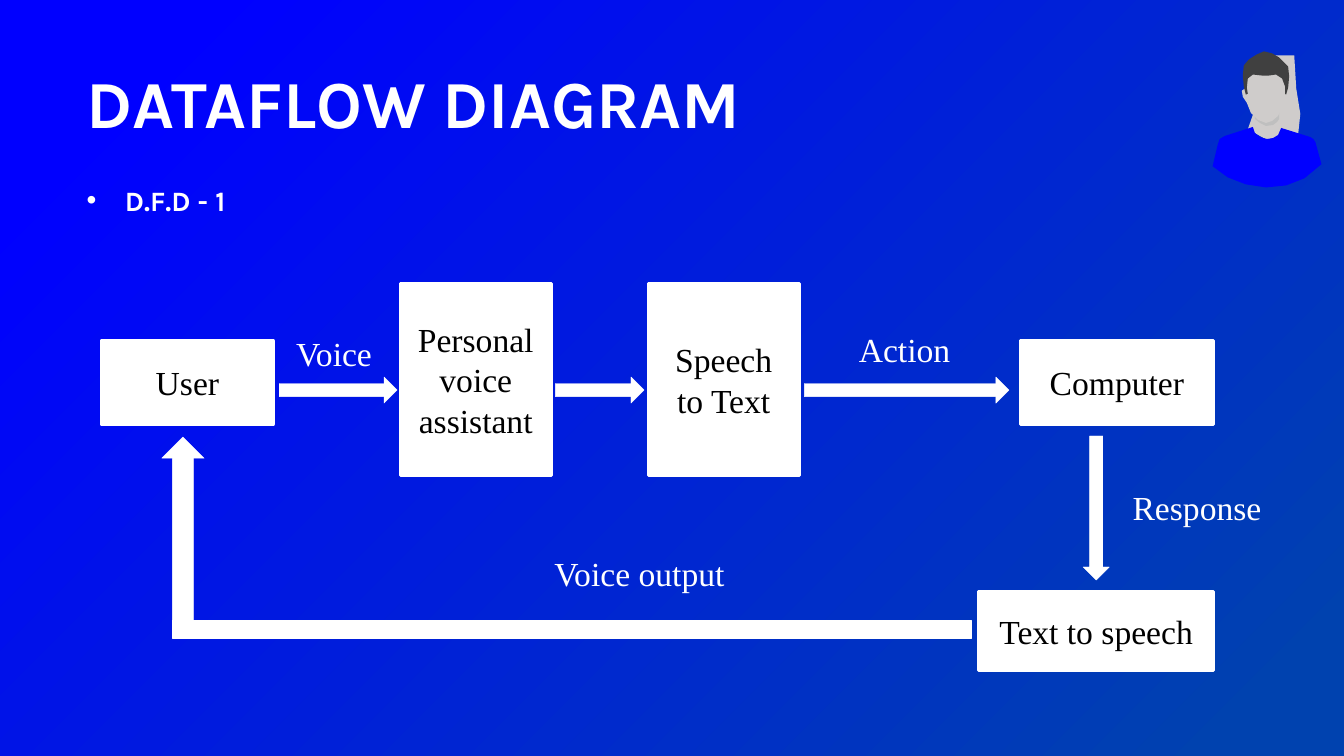
from lxml.etree import SubElement
from pptx import Presentation
from pptx.dml.color import RGBColor
from pptx.enum.shapes import MSO_SHAPE as Preset
from pptx.enum.text import MSO_ANCHOR as Anchor, MSO_AUTO_SIZE as AutoSize, PP_ALIGN as Align
from pptx.oxml.ns import qn
from pptx.util import Emu, Inches, Pt

WIDTH, HEIGHT = Emu(12192000), Emu(6858000)
COL, ROW = WIDTH / 40, HEIGHT / 30  # grid of 40 columns by 30 rows
WHITE, BLACK, BLUE, NAVY = "FFFFFF", "000000", "0000FF", "0042AF"
SKIN, CHIN, HAIR = "CFCCCB", "BFBFBF", "404040"
HEADING, BODY = "Karla", "Times New Roman"

# Each box: text, left, top, width, height, outline
BOXES = [
    ("User", 3.03, 13.52, 5.1, 3.32, 3),
    ("Personal voice assistant", 11.91, 11.24, 4.5, 7.64, 2.25),
    ("Speech to Text", 19.29, 11.24, 4.5, 7.64, 2.25),
    ("Computer", 30.36, 13.52, 5.76, 3.32, 2.25),
    ("Text to speech", 29.13, 23.48, 6.99, 3.12, 2.25),
]
# Each arrow: left, top, length, thickness, rotation
ARROWS = [
    (8.31, 14.96, 3.51, 1.04, 0),
    (16.53, 14.96, 2.64, 1.04, 0),
    (23.94, 14.96, 6.09, 1.04, 0),
    (30.48, 19.64, 4.29, 1.04, 90),
    (2.46, 20.48, 5.97, 1.68, 270),
]
# Each flow label: text, left, top, width
LABELS = [
    ("Voice output", 9.03, 21.76, 20),
    ("Voice", -0.06, 13, 20),
    ("Action", 16.92, 12.84, 20),
    ("Response", 32.61, 19.12, 6.03),
]
# Faceless figure, outlines in hundredths of an inch
FIGURE = [
    (SKIN, [(1248, 55), (1249, 75), (1247, 98), (1244, 111), (1238, 128),
            (1266, 144), (1288, 132), (1290, 113), (1286, 88), (1284, 55)]),
    (CHIN, [(1263, 124), (1267, 121), (1269, 118), (1269, 109), (1245, 109),
            (1245, 118), (1250, 122), (1256, 125)]),
    (SKIN, [(1278, 89), (1275, 90), (1275, 80), (1272, 69), (1262, 63), (1250, 62),
            (1240, 66), (1235, 77), (1235, 88), (1232, 90), (1233, 96), (1237, 102),
            (1241, 112), (1248, 119), (1256, 122), (1262, 120), (1268, 115),
            (1274, 102), (1278, 96), (1279, 92)]),
    (HAIR, [(1236, 94), (1238, 93), (1237, 87), (1238, 78), (1243, 74), (1252, 75),
            (1259, 75), (1266, 74), (1272, 78), (1275, 86), (1275, 93), (1276, 94),
            (1278, 87), (1279, 76), (1278, 66), (1269, 57), (1262, 53), (1254, 51),
            (1247, 54), (1239, 59), (1234, 65), (1233, 75), (1234, 86)]),
    (BLUE, [(1311, 163), (1305, 141), (1303, 138), (1300, 136), (1271, 127),
            (1268, 134), (1263, 137), (1257, 138), (1250, 136), (1245, 132),
            (1243, 126), (1215, 135), (1210, 138), (1208, 144), (1203, 165),
            (1218, 176), (1236, 183), (1256, 186), (1276, 184), (1294, 177)]),
]


def color(code):
    return RGBColor.from_string(code)


def place(left, top, width, height):
    return Emu(int(left * COL)), Emu(int(top * ROW)), Emu(int(width * COL)), Emu(int(height * ROW))


def write(frame, words, size, font, ink, align=None, bold=None):
    frame.word_wrap = True
    paragraph = frame.paragraphs[0]
    paragraph.alignment = align
    run = paragraph.add_run()
    run.text = words
    run.font.size, run.font.name, run.font.bold = Pt(size), font, bold
    run.font.color.rgb = color(ink)
    return paragraph


def add_text(slide, area, words, size, font, align=None, bold=None):
    frame = slide.shapes.add_textbox(*place(*area)).text_frame
    frame.auto_size = AutoSize.SHAPE_TO_FIT_TEXT
    return write(frame, words, size, font, WHITE, align, bold)


def add_white_shape(slide, preset, area, outline, rotation=0):
    shape = slide.shapes.add_shape(preset, *place(*area))
    shape.shadow.inherit = False
    shape.rotation = rotation
    shape.fill.solid()
    shape.fill.fore_color.rgb = shape.line.color.rgb = color(WHITE)
    shape.line.width = Pt(outline)
    return shape


def add_box(slide, words, *area, outline):
    frame = add_white_shape(slide, Preset.RECTANGLE, area, outline).text_frame
    frame.vertical_anchor = Anchor.MIDDLE
    write(frame, words, 24, BODY, BLACK, Align.CENTER)


def add_outline(slide, fill, points):
    builder = slide.shapes.build_freeform(*points[0], scale=Inches(0.01))
    builder.add_line_segments(points[1:], close=True)
    part = builder.convert_to_shape()
    part.shadow.inherit = False
    part.fill.solid()
    part.fill.fore_color.rgb = color(fill)
    part.line.fill.background()


def add_bullet(paragraph):
    props = paragraph._p.get_or_add_pPr()
    indent = Inches(0.38)
    props.set("marL", str(indent))
    props.set("indent", str(-indent))
    SubElement(props, qn("a:buFont")).set("typeface", "Arial")
    SubElement(props, qn("a:buChar")).set("char", "•")


def paint_background(slide):
    fill = slide.background.fill
    fill.gradient()
    fill.gradient_angle = 315
    for stop, (position, code) in zip(fill.gradient_stops, [(0.1, BLUE), (0.94, NAVY)]):
        stop.position = position
        stop.color.rgb = color(code)


def main():
    deck = Presentation()
    deck.slide_width, deck.slide_height = WIDTH, HEIGHT
    slide = deck.slides.add_slide(deck.slide_layouts[6])
    paint_background(slide)

    # Corner figure
    for fill, points in FIGURE:
        add_outline(slide, fill, points)

    # Title
    title = add_text(slide, (2.28, 2.6, 34.95, 3.32), "DATAFLOW DIAGRAM", 48, HEADING, bold=True)
    title.line_spacing = 0.9
    title.space_before = Pt(4)

    # Flow: boxes, arrows and the return bar
    for *box, outline in BOXES:
        add_box(slide, *box, outline=outline)
    for *area, rotation in ARROWS:
        add_white_shape(slide, Preset.RIGHT_ARROW, area, 0.25, rotation)
    add_white_shape(slide, Preset.MATH_MINUS, (0.84, 23.4, 32.34, 3.12), 0.25)

    # Labels
    for words, left, top, width in LABELS:
        add_text(slide, (left, top, width, 2), words, 24, BODY, Align.CENTER)
    add_bullet(add_text(slide, (2.28, 7.08, 20, 1.76), "D.F.D - 1", 20, HEADING, bold=True))

    deck.save("out.pptx")


if __name__ == "__main__":
    main()
